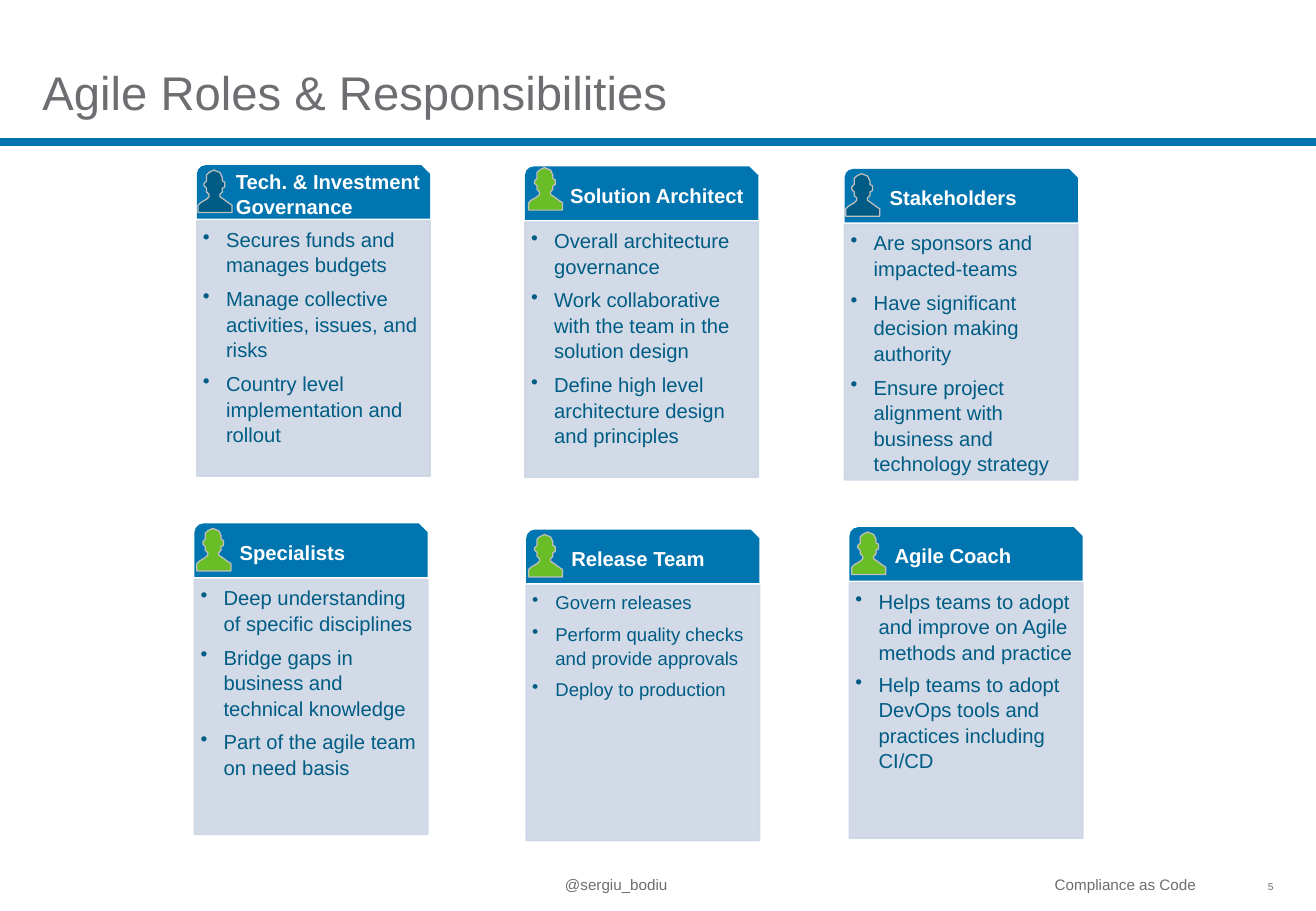
from dataclasses import dataclass

from lxml import etree
from pptx import Presentation
from pptx.dml.color import RGBColor
from pptx.enum.shapes import MSO_CONNECTOR, MSO_SHAPE
from pptx.enum.text import MSO_ANCHOR, PP_ALIGN
from pptx.oxml.ns import qn
from pptx.util import Inches, Pt

RECTANGLE = MSO_SHAPE.RECTANGLE
SNIP_ROUND = MSO_SHAPE.SNIP_ROUND_RECTANGLE
STRAIGHT = MSO_CONNECTOR.STRAIGHT
TOP, MIDDLE, BOTTOM = MSO_ANCHOR.TOP, MSO_ANCHOR.MIDDLE, MSO_ANCHOR.BOTTOM
LEFT, RIGHT = PP_ALIGN.LEFT, PP_ALIGN.RIGHT


@dataclass(frozen=True)
class Theme:
    font: str = "Arial"
    grey: str = "6D6E71"
    blue: str = "0075B0"
    navy: str = "005C84"
    green: str = "69BE28"
    panel: str = "CCD6E4"
    outline: str = "BFBFBF"
    white: str = "FFFFFF"
    title_size: float = 28
    text_size: float = 12
    compact_size: float = 11
    footer_size: float = 9
    number_size: float = 6


THEME = Theme()
SLIDE_WIDTH, SLIDE_HEIGHT = 10.83, 7.5
CARD_WIDTH, HEAD_HEIGHT, BODY_HEIGHT = 1.92, 0.44, 2.1
BODY_OFFSET = 0.46
LINE_SPACING = 1.05
BULLET_INDENT = 0.19
PERSON_OUTLINE = [
    (9, 22), (7, 24), (2, 27), (0, 29), (0, 35), (28, 35), (28, 29), (25, 27), (21, 24),
    (18, 22), (18, 20), (20, 18), (20, 15), (22, 14), (22, 10), (20, 9), (20, 6), (18, 2),
    (13, 0), (9, 2), (7, 4), (7, 9), (5, 11), (5, 13), (7, 15), (7, 18), (9, 20),
]


@dataclass(frozen=True)
class Card:
    left: float
    top: float
    role: str
    duties: tuple
    icon_color: str = THEME.green
    size: float = THEME.text_size
    gap: float = 5
    head_insets: tuple = (0.35, 0.05, 0.1, 0.05)
    body_right_inset: float = 0.02
    icon_offset: tuple = (0.02, 0.04)


CARDS = [
    Card(1.62, 1.36, "Tech. & Investment Governance",
         ("Secures funds and manages budgets",
          "Manage collective activities, issues, and risks",
          "Country level implementation and rollout"),
         icon_color=THEME.navy, head_insets=(0.3, 0.05, 0, 0.05),
         body_right_inset=0, icon_offset=(0.01, 0.04)),
    Card(4.32, 1.37, "Solution Architect",
         ("Overall architecture governance",
          "Work collaborative with the team in the solution design",
          "Define high level architecture design and principles"),
         head_insets=(0.35, 0.05, 0.02, 0.05),
         body_right_inset=0.01, icon_offset=(0.03, 0.01)),
    Card(6.95, 1.39, "Stakeholders",
         ("Are sponsors and impacted-teams",
          "Have significant decision making authority",
          "Ensure project alignment with business and technology strategy"),
         icon_color=THEME.navy, icon_offset=(0.01, 0.04)),
    Card(1.6, 4.31, "Specialists",
         ("Deep understanding of specific disciplines",
          "Bridge gaps in business and technical knowledge",
          "Part of the agile team on need basis")),
    Card(4.33, 4.36, "Release Team",
         ("Govern releases",
          "Perform quality checks and provide approvals",
          "Deploy to production"),
         size=THEME.compact_size),
    Card(6.99, 4.34, "Agile Coach",
         ("Helps teams to adopt and improve on Agile methods and practice",
          "Help teams to adopt DevOps tools and practices including CI/CD"),
         gap=4),
]


def rgb(color):
    return RGBColor.from_string(color)


def fill_shape(shape, color, line_color=None, line_width=1):
    shape.shadow.inherit = False
    shape.fill.solid()
    shape.fill.fore_color.rgb = rgb(color)
    if line_color:
        shape.line.color.rgb = rgb(line_color)
        shape.line.width = Pt(line_width)
    else:
        shape.line.fill.background()


def set_opacity(shape, percent):
    for color in shape._element.spPr.iter(qn("a:srgbClr")):
        etree.SubElement(color, qn("a:alpha"), val=str(percent * 1000))


def write_text(shape, lines, size, color, insets=(0, 0, 0, 0), anchor=MIDDLE,
               align=LEFT, bold=False, spacing=1.0, gap=0):
    frame = shape.text_frame
    frame.word_wrap = True
    frame.vertical_anchor = anchor
    (frame.margin_left, frame.margin_top,
     frame.margin_right, frame.margin_bottom) = map(Inches, insets)
    for index, line in enumerate(lines):
        para = frame.add_paragraph() if index else frame.paragraphs[0]
        para.text = line
        para.alignment = align
        para.line_spacing = spacing
        para.space_after = Pt(gap)
        para.font.name = THEME.font
        para.font.size = Pt(size)
        para.font.bold = bold
        para.font.color.rgb = rgb(color)


def add_bullets(shape):
    for para in shape.text_frame.paragraphs:
        properties = para._p.get_or_add_pPr()
        properties.set("marL", str(Inches(BULLET_INDENT)))
        properties.set("indent", str(-Inches(BULLET_INDENT)))
        bullet = etree.Element(qn("a:buChar"), char="•")
        properties.find(qn("a:defRPr")).addprevious(bullet)


def add_label(page, text, bounds, size, **style):
    box = page.shapes.add_textbox(*map(Inches, bounds))
    write_text(box, [text], size, THEME.grey, **style)


def add_rule(page, top):
    rule = page.shapes.add_connector(
        STRAIGHT, Inches(0), Inches(top), Inches(SLIDE_WIDTH), Inches(top))
    rule.line.color.rgb = rgb(THEME.blue)
    rule.line.width = Pt(4.5)
    etree.SubElement(rule._element.spPr, qn("a:effectLst"))


def add_person(page, left, top, color):
    start, *rest = PERSON_OUTLINE
    builder = page.shapes.build_freeform(*start, scale=Inches(0.01))
    builder.add_line_segments(rest, close=True)
    person = builder.convert_to_shape(Inches(left), Inches(top))
    fill_shape(person, color, THEME.outline, 0.75)


def add_card(page, card):
    body = page.shapes.add_shape(RECTANGLE, *map(
        Inches, (card.left, card.top + BODY_OFFSET, CARD_WIDTH, BODY_HEIGHT)))
    fill_shape(body, THEME.panel, THEME.panel)
    set_opacity(body, 90)
    write_text(body, card.duties, card.size, THEME.navy, anchor=TOP,
               insets=(0.05, 0.04, card.body_right_inset, 0.04),
               spacing=LINE_SPACING, gap=card.gap)
    add_bullets(body)

    head = page.shapes.add_shape(SNIP_ROUND, *map(
        Inches, (card.left, card.top, CARD_WIDTH, HEAD_HEIGHT)))
    fill_shape(head, THEME.blue)
    write_text(head, [card.role], THEME.text_size, THEME.white,
               insets=card.head_insets, bold=True, spacing=LINE_SPACING)

    across, down = card.icon_offset
    add_person(page, card.left + across, card.top + down, card.icon_color)


def main():
    deck = Presentation()
    deck.slide_width, deck.slide_height = Inches(SLIDE_WIDTH), Inches(SLIDE_HEIGHT)
    page = deck.slides.add_slide(deck.slide_layouts[6])
    add_label(page, "Agile Roles & Responsibilities", (0.35, 0.22, 10.13, 0.77),
              THEME.title_size, anchor=BOTTOM, spacing=0.9)
    add_rule(page, 1.17)
    for card in CARDS:
        add_card(page, card)
    footer_insets = (0, 0, 0.15, 0)
    add_label(page, "@sergiu_bodiu", (4.65, 7.14, 1.44, 0.28),
              THEME.footer_size, insets=footer_insets)
    add_label(page, "Compliance as Code", (6.19, 7.14, 3.8, 0.28),
              THEME.footer_size, insets=footer_insets, align=RIGHT)
    add_label(page, "5", (10.09, 7.13, 0.39, 0.33), THEME.number_size, align=RIGHT)
    deck.save("out.pptx")


if __name__ == "__main__":
    main()
